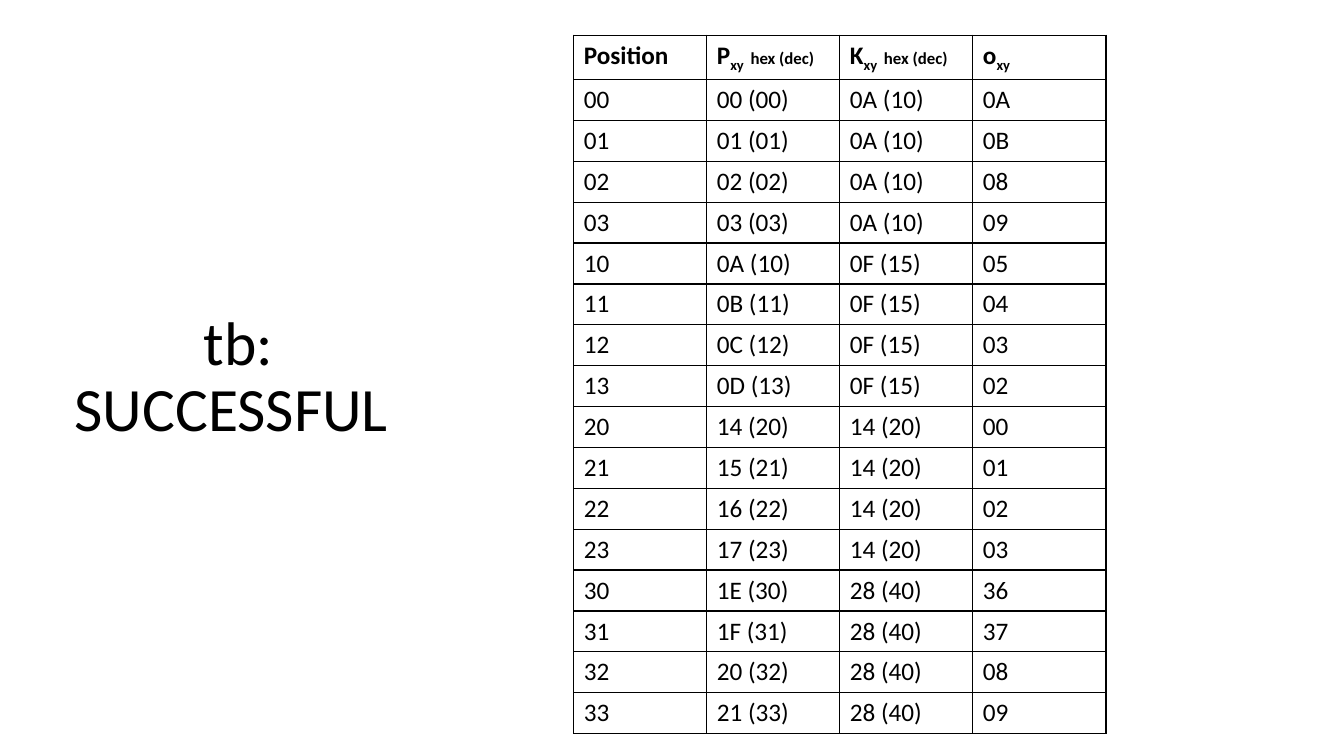
from lxml.etree import SubElement
from pptx import Presentation
from pptx.dml.color import RGBColor
from pptx.enum.text import MSO_ANCHOR, MSO_AUTO_SIZE, PP_ALIGN
from pptx.oxml.ns import qn
from pptx.util import Pt

PX = 9144
COLORS = {"text": "000000", "border": "000000", "cell": "FFFFFF"}
ROW_HEIGHT, COLUMN_WIDTH = 40, 132
KEYS = [10, 15, 20, 40]
HEADERS = [
    [("Position", 18, 0)],
    [("P", 18, 0), ("xy  ", 18, -25), ("hex (dec)", 12, 0)],
    [("K", 18, 0), ("xy  ", 18, -25), ("hex (dec)", 12, 0)],
    [("o", 18, 0), ("xy", 18, -25)],
]


def add_text(paragraph, text, size, bold=False, baseline=0):
    run = paragraph.add_run()
    run.text = text
    for name, value in {"name": "Calibri", "size": Pt(size), "bold": bold}.items():
        setattr(run.font, name, value)
    run.font.color.rgb = RGBColor.from_string(COLORS["text"])
    if baseline:
        run._r.get_or_add_rPr().set("baseline", str(baseline * 1000))


def style_cell(cell):
    properties = cell._tc.get_or_add_tcPr()
    for side in ("lnL", "lnR", "lnT", "lnB"):
        line = SubElement(properties, qn(f"a:{side}"), w=str(Pt(1)))
        line_fill = SubElement(line, qn("a:solidFill"))
        SubElement(line_fill, qn("a:srgbClr"), val=COLORS["border"])
    cell.fill.solid()
    cell.fill.fore_color.rgb = RGBColor.from_string(COLORS["cell"])


presentation = Presentation()
presentation.slide_width = 1333 * PX
presentation.slide_height = 750 * PX
slide = presentation.slides.add_slide(presentation.slide_layouts[5])

title = slide.shapes.title
for name, value in {"left": 56, "top": 303, "width": 361, "height": 145}.items():
    setattr(title, name, value * PX)
frame_format = {
    "word_wrap": True,
    "auto_size": MSO_AUTO_SIZE.NONE,
    "vertical_anchor": MSO_ANCHOR.MIDDLE,
}
for name, value in frame_format.items():
    setattr(title.text_frame, name, value)
title_paragraph = title.text_frame.paragraphs[0]
title_paragraph.alignment = PP_ALIGN.CENTER
title_paragraph.line_spacing = 0.9
add_text(title_paragraph, "tb: SUCCESSFUL ", 44)

rows = []
for block, key in enumerate(KEYS):
    for step in range(4):
        plain = 10 * block + step
        rows.append([
            f"{block}{step}",
            f"{plain:02X} ({plain:02})",
            f"{key:02X} ({key})",
            f"{plain ^ key:02X}",
        ])

row_count, column_count = len(rows) + 1, len(HEADERS)
table = slide.shapes.add_table(
    row_count, column_count, 569 * PX, 35 * PX,
    column_count * COLUMN_WIDTH * PX, row_count * ROW_HEIGHT * PX,
).table
table.first_row = False
table.horz_banding = False
for cell in table.iter_cells():
    style_cell(cell)
for column, runs in enumerate(HEADERS):
    for text, size, baseline in runs:
        add_text(table.cell(0, column).text_frame.paragraphs[0], text, size, True, baseline)
for row, values in enumerate(rows, 1):
    for column, value in enumerate(values):
        add_text(table.cell(row, column).text_frame.paragraphs[0], value, 18)

presentation.save("out.pptx")
